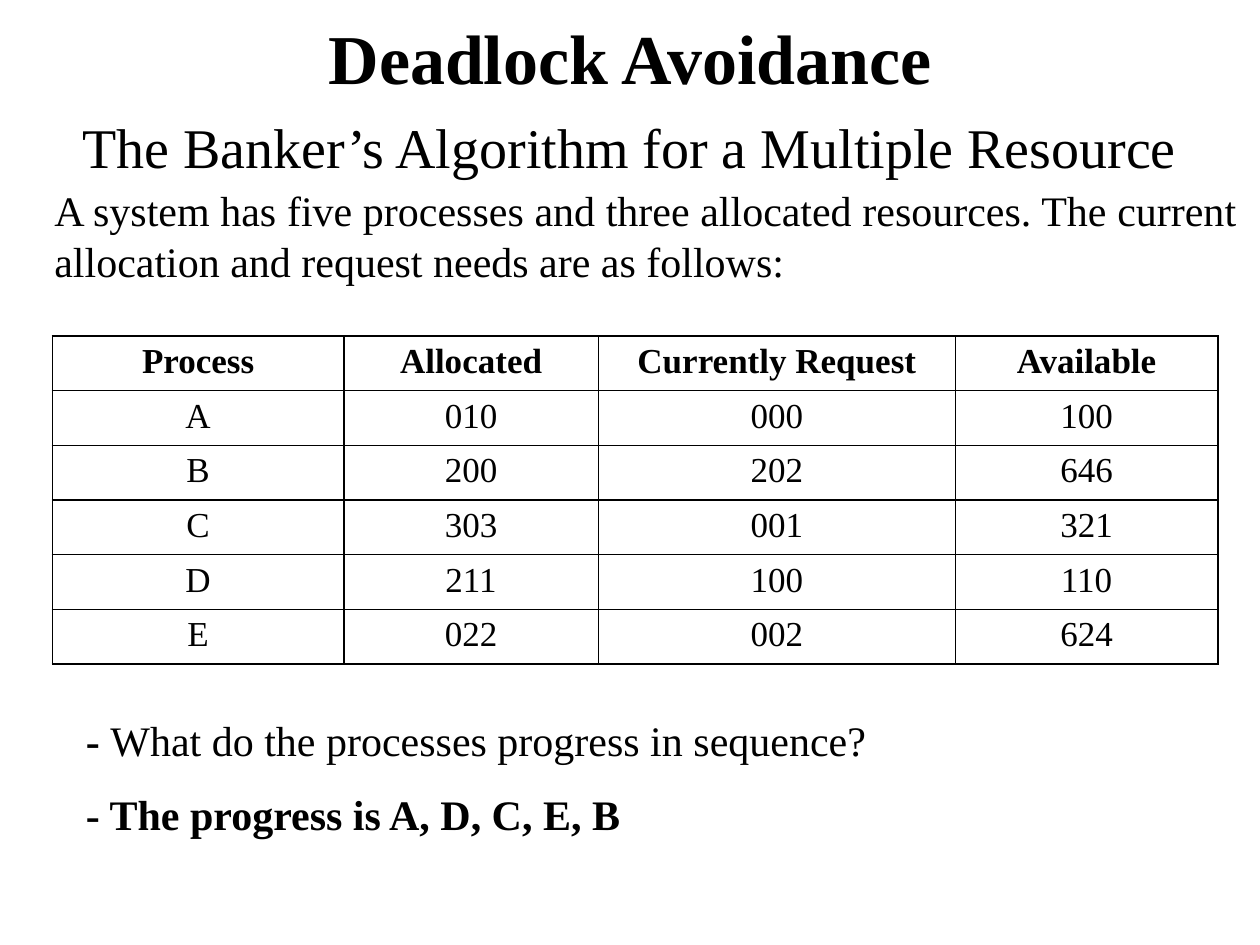
from dataclasses import dataclass

from lxml import etree
from pptx import Presentation
from pptx.dml.color import RGBColor
from pptx.enum.text import MSO_ANCHOR, PP_ALIGN
from pptx.oxml.ns import qn
from pptx.slide import Slide
from pptx.text.text import Font
from pptx.util import Inches, Pt

LEFT, MID, JUST = PP_ALIGN.LEFT, PP_ALIGN.CENTER, PP_ALIGN.JUSTIFY
TOP = MSO_ANCHOR.TOP
UNIT = Inches(1) // 12


@dataclass(frozen=True)
class Theme:
    face: str = "Times New Roman"
    ink: str = "000000"
    paper: str = "FFFFFF"
    title: int = 40
    sub: int = 32
    body: int = 24
    cell: int = 20
    rule: int = 1


@dataclass(frozen=True)
class Run:
    text: str
    bold: bool = False


@dataclass(frozen=True)
class Para:
    runs: tuple[Run, ...]
    size: int
    align: PP_ALIGN = LEFT
    gap: int = 0


@dataclass(frozen=True)
class Block:
    col: float
    row: float
    wide: float
    high: float
    paras: tuple[Para, ...]
    inset: float = 0.05


THEME = Theme()
BLOCKS = (
    Block(0, 1, 120, 10, (
        Para((Run("Deadlock Avoidance", True),), THEME.title, MID),
        Para((Run("The Banker’s Algorithm for a Multiple Resource"),),
             THEME.sub, MID, 8),
    ), 0.03),
    Block(7, 67.5, 106, 13, (
        Para((Run("- ", True),
              Run("What do the processes progress in sequence?")),
             THEME.body),
        Para((Run("- The progress is A, D, C, E, B", True),),
             THEME.body, LEFT, 13),
    )),
    Block(4, 17, 115, 11, (
        Para((Run("A system has five processes and three allocated resources. "
                  "The current allocation and request needs are as follows:"),),
             THEME.body, JUST),
    )),
)
COLS = (27.75, 24.25, 34, 25)
HIGH = 5.2
ROWS = (
    ("Process", "Allocated", "Currently Request", "Available"),
    ("A", "010", "000", "100"),
    ("B", "200", "202", "646"),
    ("C", "303", "001", "321"),
    ("D", "211", "100", "110"),
    ("E", "022", "002", "624"),
)


def grid(count: float) -> int:
    return round(count * UNIT)


def style(font: Font, size: int) -> None:
    font.name = THEME.face
    font.size = Pt(size)
    font.color.rgb = RGBColor.from_string(THEME.ink)


def write(slide: Slide, block: Block) -> None:
    area = (block.col, block.row, block.wide, block.high)
    frame = slide.shapes.add_textbox(*map(grid, area)).text_frame
    frame.word_wrap = True
    frame.vertical_anchor = TOP
    frame.margin_top = Inches(block.inset)
    for spot, item in enumerate(block.paras):
        para = frame.add_paragraph() if spot else frame.paragraphs[0]
        para.alignment = item.align
        para.space_before = Pt(item.gap)
        style(para.font, item.size)
        mixed = len({part.bold for part in item.runs}) > 1
        if not mixed:
            para.font.bold = item.runs[0].bold
        for part in item.runs:
            run = para.add_run()
            run.text = part.text
            if mixed:
                run.font.bold = part.bold


def border(cell) -> None:
    props = cell._tc.get_or_add_tcPr()
    for spot, side in enumerate(("lnL", "lnR", "lnT", "lnB")):
        line = etree.Element(qn(f"a:{side}"), w=str(Pt(THEME.rule)))
        fill = etree.SubElement(line, qn("a:solidFill"))
        etree.SubElement(fill, qn("a:srgbClr"), val=THEME.ink)
        props.insert(spot, line)


def table(slide: Slide) -> None:
    area = map(grid, (5, 32, sum(COLS), HIGH * len(ROWS)))
    sheet = slide.shapes.add_table(len(ROWS), len(COLS), *area).table
    for col, wide in zip(sheet.columns, COLS):
        col.width = grid(wide)
    for row, texts in enumerate(ROWS):
        sheet.rows[row].height = grid(HIGH)
        for col, text in enumerate(texts):
            cell = sheet.cell(row, col)
            cell.text = text
            cell.fill.solid()
            cell.fill.fore_color.rgb = RGBColor.from_string(THEME.paper)
            cell.vertical_anchor = TOP
            para = cell.text_frame.paragraphs[0]
            para.alignment = MID
            style(para.font, THEME.cell)
            para.font.bold = row == 0
            border(cell)


def main() -> None:
    deck = Presentation()
    deck.slide_width, deck.slide_height = grid(120), grid(90)
    slide = deck.slides.add_slide(deck.slide_layouts[6])
    for block in BLOCKS:
        write(slide, block)
    table(slide)
    deck.save("out.pptx")


if __name__ == "__main__":
    main()
